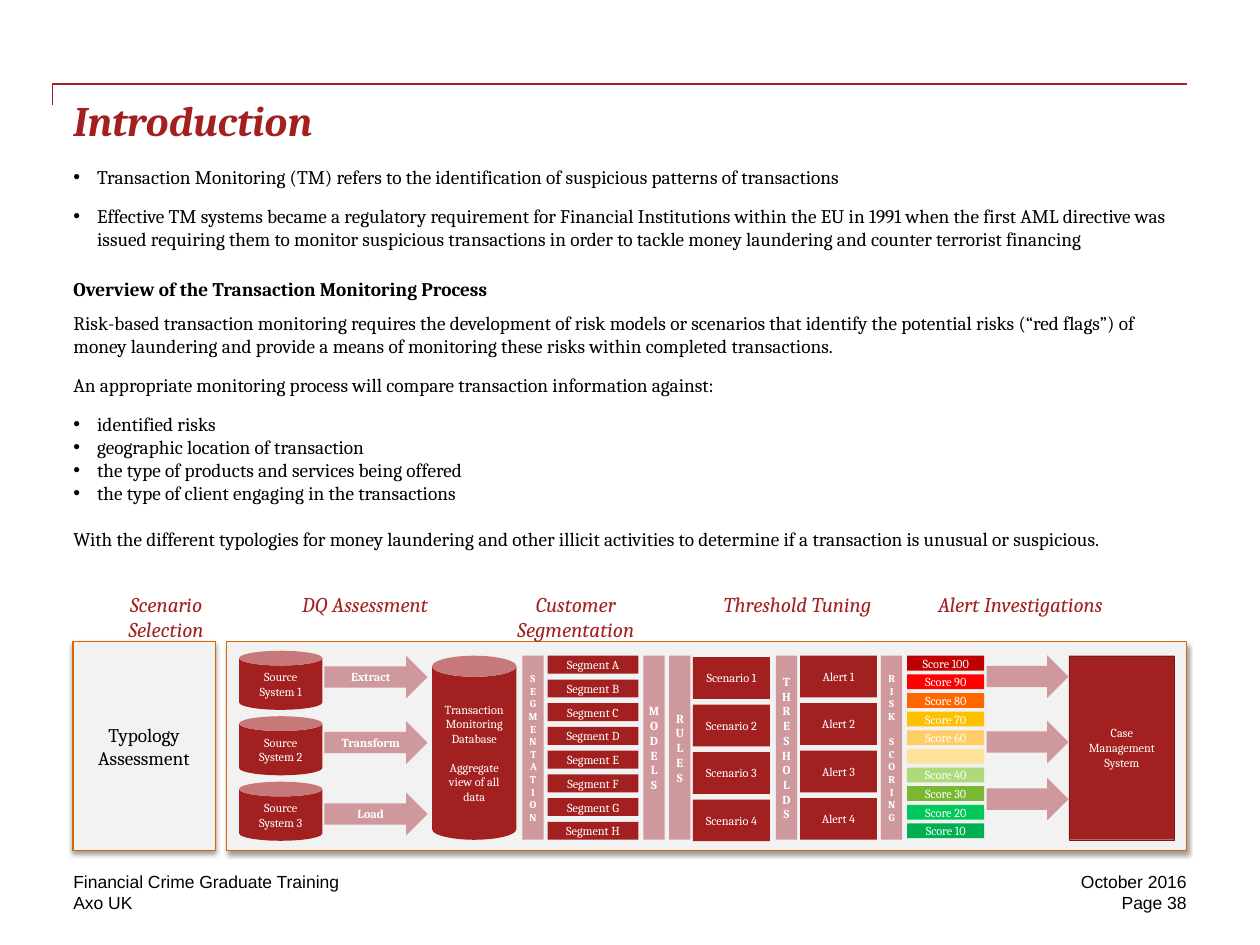
from dataclasses import dataclass

from lxml import etree
from pptx import Presentation
from pptx.dml.color import RGBColor
from pptx.enum.shapes import MSO_SHAPE
from pptx.enum.text import MSO_ANCHOR, PP_ALIGN
from pptx.oxml.ns import qn
from pptx.shapes.autoshape import Shape
from pptx.slide import Slide
from pptx.text.text import TextFrame
from pptx.util import Cm, Pt

RECTANGLE, CAN, ARROW = MSO_SHAPE.RECTANGLE, MSO_SHAPE.CAN, MSO_SHAPE.RIGHT_ARROW
LEFT, CENTER, RIGHT = PP_ALIGN.LEFT, PP_ALIGN.CENTER, PP_ALIGN.RIGHT
TOP, MIDDLE = MSO_ANCHOR.TOP, MSO_ANCHOR.MIDDLE


@dataclass(frozen=True)
class Theme:
    red: str = "A32020"
    dark_red: str = "791818"
    pink: str = "CF989C"
    panel: str = "F2F2F2"
    orange: str = "D76700"
    black: str = "000000"
    white: str = "FFFFFF"
    serif: str = "Cambria"
    sans: str = "Arial"
    title: float = 24
    heading: float = 12
    body: float = 11
    footer: float = 10
    label: float = 7
    small: float = 6


THEME = Theme()


@dataclass(frozen=True)
class Box:
    left: float
    top: float
    width: float
    height: float


@dataclass(frozen=True)
class BodyLine:
    text: str
    after: float = 9
    before: float = 0
    bullet: bool = False
    bold: bool = False
    spacing: float = 1.0


@dataclass(frozen=True)
class Stack:
    kind: MSO_SHAPE
    labels: list[str]
    colors: list[str]
    first: Box
    span: float


@dataclass(frozen=True)
class Bar:
    text: str
    left: float
    size: float = THEME.label


MARGIN, FLOW_TOP, FLOW_HEIGHT = 1.48, 13.22, 3.71

BODY = [
    BodyLine("Transaction Monitoring (TM) refers to the identification of suspicious patterns of transactions", bullet=True),
    BodyLine("Effective TM systems became a regulatory requirement for Financial Institutions within the EU in 1991 "
             "when the first AML directive was issued requiring them to monitor suspicious transactions in order to "
             "tackle money laundering and counter terrorist financing", bullet=True),
    BodyLine("Overview of the Transaction Monitoring Process", after=6, bold=True, spacing=1.5),
    BodyLine("Risk-based transaction monitoring requires the development of risk models or scenarios that identify "
             "the potential risks (“red flags”) of money laundering and provide a means of monitoring these risks "
             "within completed transactions."),
    BodyLine("An appropriate monitoring process will compare transaction information against:"),
    BodyLine("identified risks", after=0, bullet=True),
    BodyLine("geographic location of transaction", after=0, bullet=True),
    BodyLine("the type of products and services being offered", after=0, bullet=True),
    BodyLine("the type of client engaging in the transactions", after=0, bullet=True),
    BodyLine("With the different typologies for money laundering and other illicit activities to determine if a "
             "transaction is unusual or suspicious.", before=13),
]

HEADINGS = [
    ("Scenario Selection", 1.89, 2.92),
    ("DQ Assessment", 5.9, 2.92),
    ("Customer Segmentation", 9.91, 3.4),
    ("Threshold Tuning", 14.38, 3.4),
    ("Alert Investigations", 18.87, 3.4),
]

SCORE_COLORS = ["C00000", "FF0000", "FF6600", "FFC000", "FFCC66",
                "FFE299", "ADDB7B", "78B832", "00C85A", "00B050"]
SCORE_LABELS = [f"Score {n}" if n != 50 else "" for n in range(100, 0, -10)]

STACKS = [
    Stack(CAN, [f"Source System {n}" for n in range(1, 4)], [THEME.red] * 3, Box(4.82, 13.12, 1.68, 1.19), 2.64),
    Stack(RECTANGLE, [f"Segment {letter}" for letter in "ABCDEFGH"], [THEME.red] * 8,
          Box(11.04, FLOW_TOP, 1.83, 0.36), 3.35),
    Stack(RECTANGLE, [f"Scenario {n}" for n in range(1, 5)], [THEME.red] * 4, Box(13.97, 13.25, 1.55, 0.84), 2.87),
    Stack(RECTANGLE, [f"Alert {n}" for n in range(1, 5)], [THEME.red] * 4, Box(16.13, FLOW_TOP, 1.55, 0.84), 2.87),
    Stack(RECTANGLE, SCORE_LABELS, SCORE_COLORS, Box(18.29, FLOW_TOP, 1.55, 0.3), 3.38),
]

BARS = [
    Bar("SEGMENTATION", 10.53, THEME.small),
    Bar("MODELS", 12.97),
    Bar("RULES", 13.49),
    Bar("THRESHOLDS", 15.64),
    Bar("RISK SCORING", 17.76, THEME.small),
]

LOAD_ARROWS = [("Extract", 13.22), ("Transform", 14.54), ("Load", 15.98)]
CASE_ARROW_TOPS = [13.21, 14.53, 15.68]


def write_text(frame: TextFrame, text: str, *, size: float = THEME.label, color: str = THEME.white,
               font: str = THEME.serif, bold: bool = False, italic: bool = False, align: PP_ALIGN = CENTER,
               before: float = 0, after: float = 0, spacing: float = 1.0, bullet: bool = False) -> None:
    paragraph = frame.paragraphs[0] if not frame.text else frame.add_paragraph()
    paragraph.alignment = align
    paragraph.line_spacing = spacing
    paragraph.space_before, paragraph.space_after = Pt(before), Pt(after)
    if bullet:
        properties = paragraph._p.get_or_add_pPr()
        properties.set("marL", str(Cm(0.48)))
        properties.set("indent", str(-Cm(0.48)))
        etree.SubElement(properties, qn("a:buFont")).set("typeface", THEME.sans)
        etree.SubElement(properties, qn("a:buChar")).set("char", "•")
    run = paragraph.add_run()
    run.text = text
    run.font.name, run.font.size = font, Pt(size)
    run.font.bold, run.font.italic = bold, italic
    run.font.color.rgb = RGBColor.from_string(color)


def prepare_frame(frame: TextFrame, anchor: MSO_ANCHOR, side: float, end: float) -> None:
    frame.word_wrap = True
    frame.vertical_anchor = anchor
    frame.margin_left = frame.margin_right = Cm(side)
    frame.margin_top = frame.margin_bottom = Cm(end)


def add_text_box(slide: Slide, box: Box) -> TextFrame:
    shape = slide.shapes.add_textbox(Cm(box.left), Cm(box.top), Cm(box.width), Cm(box.height))
    prepare_frame(shape.text_frame, TOP, 0, 0)
    return shape.text_frame


def add_block(slide: Slide, kind: MSO_SHAPE, box: Box, fill: str, line: str | None = None,
              line_width: float = 0.75, side: float = 0.15, end: float = 0) -> Shape:
    shape = slide.shapes.add_shape(kind, Cm(box.left), Cm(box.top), Cm(box.width), Cm(box.height))
    shape.shadow.inherit = False
    shape.fill.solid()
    shape.fill.fore_color.rgb = RGBColor.from_string(fill)
    if line:
        shape.line.color.rgb = RGBColor.from_string(line)
        shape.line.width = Pt(line_width)
    else:
        shape.line.fill.background()
    prepare_frame(shape.text_frame, MIDDLE, side, end)
    return shape


def add_panel(slide: Slide, box: Box) -> Shape:
    shape = add_block(slide, RECTANGLE, box, THEME.panel, THEME.orange, side=0.25, end=0.13)
    effects = shape._element.spPr.find(qn("a:effectLst"))
    shadow = etree.SubElement(effects, qn("a:outerShdw"), blurRad=str(Pt(3.1)), dist=str(Pt(1.6)),
                              dir="5400000", rotWithShape="0")
    color = etree.SubElement(shadow, qn("a:srgbClr"), val=THEME.black)
    etree.SubElement(color, qn("a:alpha"), val="38000")
    return shape


def add_stack(slide: Slide, stack: Stack) -> None:
    first = stack.first
    pitch = stack.span / (len(stack.labels) - 1)
    for index, (label, color) in enumerate(zip(stack.labels, stack.colors)):
        box = Box(first.left, first.top + index * pitch, first.width, first.height)
        block = add_block(slide, stack.kind, box, color)
        if label:
            write_text(block.text_frame, label)


def add_bar(slide: Slide, bar: Bar) -> None:
    frame = add_block(slide, RECTANGLE, Box(bar.left, FLOW_TOP, 0.43, FLOW_HEIGHT), THEME.pink, side=0).text_frame
    frame._txBody.bodyPr.set("vert", "wordArtVert")
    write_text(frame, bar.text, size=bar.size, bold=True)


def add_corner_rule(slide: Slide) -> None:
    builder = slide.shapes.build_freeform(Cm(1.06), Cm(2.11))
    builder.add_line_segments([(Cm(1.06), Cm(1.7)), (Cm(23.92), Cm(1.7))], close=False)
    rule = builder.convert_to_shape()
    rule.shadow.inherit = False
    rule.fill.background()
    rule.line.color.rgb = RGBColor.from_string(THEME.red)
    rule.line.width = Pt(1)


def add_flow(slide: Slide) -> None:
    add_panel(slide, Box(4.57, 12.93, 19.35, 4.22))
    typology = add_panel(slide, Box(1.47, 12.93, 2.87, 4.22))
    write_text(typology.text_frame, "Typology Assessment", size=THEME.body, color=THEME.black)
    for stack in STACKS:
        add_stack(slide, stack)
    for bar in BARS:
        add_bar(slide, bar)
    for label, top in LOAD_ARROWS:
        write_text(add_block(slide, ARROW, Box(6.54, top, 2.08, 0.86), THEME.pink).text_frame, label, bold=True)
    for top in CASE_ARROW_TOPS:
        add_block(slide, ARROW, Box(19.89, top, 1.65, 0.86), THEME.pink)
    database = add_block(slide, CAN, Box(8.71, FLOW_TOP, 1.7, FLOW_HEIGHT), THEME.red)
    write_text(database.text_frame, "Transaction Monitoring Database")
    write_text(database.text_frame, "Aggregate view of all data", before=8)
    case_system = add_block(slide, RECTANGLE, Box(21.55, FLOW_TOP, 2.13, FLOW_HEIGHT), THEME.red,
                            THEME.dark_red, 0.25, side=0.25)
    write_text(case_system.text_frame, "Case Management System")
    for text, left, width in HEADINGS:
        write_text(add_text_box(slide, Box(left, 11.92, width, 1)), text,
                   size=THEME.heading, color=THEME.red, italic=True)


def add_footer(slide: Slide) -> None:
    rows = [("Financial Crime Graduate Training", "October 2016", 17.56), ("Axo UK", "Page 38", 17.99)]
    for left_text, right_text, top in rows:
        for text, left, width, align in ((left_text, MARGIN, 14.6, LEFT), (right_text, 19.68, 4.24, RIGHT)):
            write_text(add_text_box(slide, Box(left, top, width, 0.43)), text, size=THEME.footer,
                       color=THEME.black, font=THEME.sans, align=align)


def main() -> None:
    presentation = Presentation()
    presentation.slide_width, presentation.slide_height = Cm(25.4), Cm(19.05)
    slide = presentation.slides.add_slide(presentation.slide_layouts[6])
    add_corner_rule(slide)
    write_text(add_text_box(slide, Box(MARGIN, 1.91, 22.43, 1.3)), "Introduction", size=THEME.title,
               color=THEME.red, bold=True, italic=True, align=LEFT)
    body = add_text_box(slide, Box(MARGIN, 3.33, 22.43, 8.4))
    for line in BODY:
        write_text(body, line.text, size=THEME.body, color=THEME.black, bold=line.bold, align=LEFT,
                   before=line.before, after=line.after, spacing=line.spacing, bullet=line.bullet)
    add_flow(slide)
    add_footer(slide)
    presentation.save("out.pptx")


if __name__ == "__main__":
    main()
